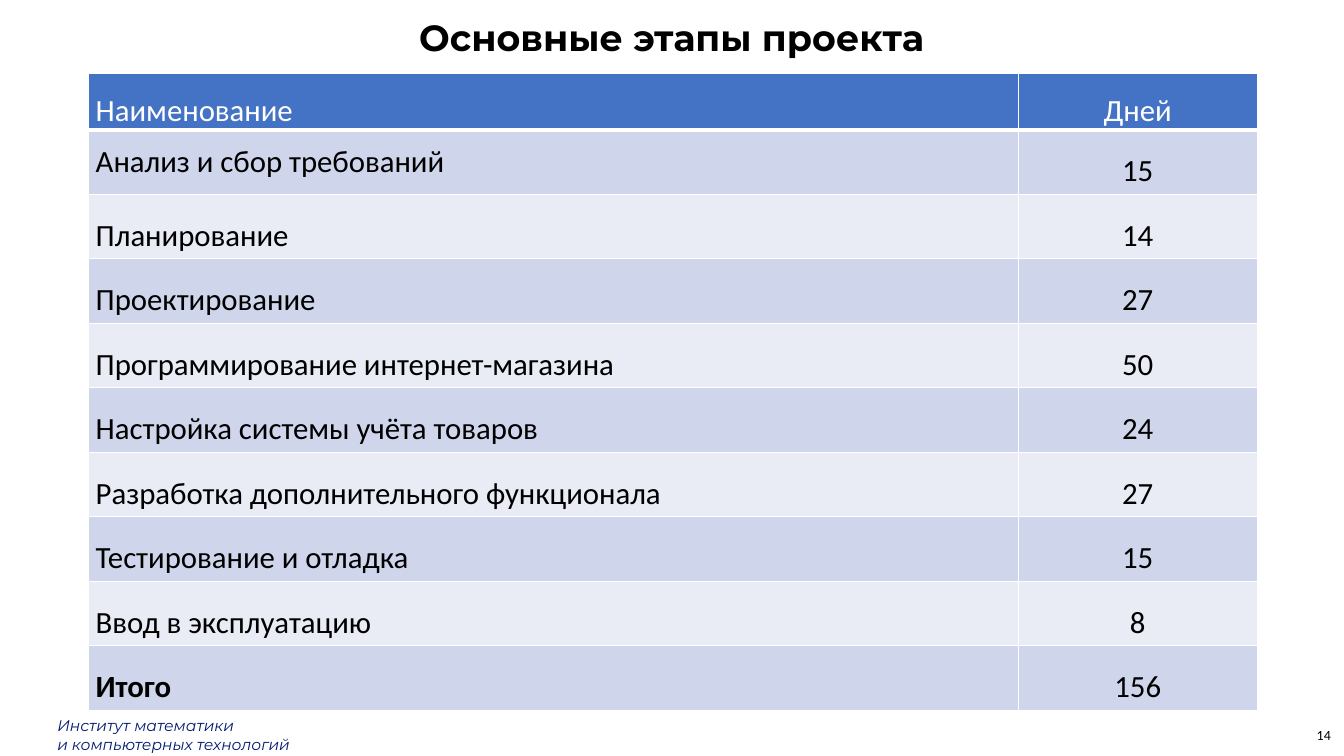
"""Build the slide listing the main project stages and their duration in days."""
import copy

import pptx
import pptx.dml.color
import pptx.enum.text
import pptx.oxml
import pptx.oxml.ns
import pptx.util

Inches = pptx.util.Inches
Pt = pptx.util.Pt
RGBColor = pptx.dml.color.RGBColor
PP_ALIGN = pptx.enum.text.PP_ALIGN
MSO_ANCHOR = pptx.enum.text.MSO_ANCHOR

BLACK = RGBColor(0x00, 0x00, 0x00)
WHITE = RGBColor(0xFF, 0xFF, 0xFF)
NAVY = RGBColor(0x00, 0x1A, 0x72)
HEADER = RGBColor(0x44, 0x72, 0xC4)
BANDS = (RGBColor(0xE9, 0xEB, 0xF5), RGBColor(0xCF, 0xD5, 0xEA))

STAGES = [
    ("Наименование", "Дней"),
    ("Анализ и сбор требований", "15"),
    ("Планирование", "14"),
    ("Проектирование", "27"),
    ("Программирование интернет-магазина", "50"),
    ("Настройка системы учёта товаров", "24"),
    ("Разработка дополнительного функционала", "27"),
    ("Тестирование и отладка", "15"),
    ("Ввод в эксплуатацию", "8"),
    ("Итого", "156"),
]


class StageSlide:
    def __init__(self, prs):
        self.s = prs.slides.add_slide(prs.slide_layouts[5])
        self.body = "Calibri"
        self.accent = "Montserrat"

    def set_format(self, obj, values):
        for name, value in values.items():
            setattr(obj, name, value)

    def fill_text(self, tf, text, color, font, para):
        p = tf.paragraphs[0]
        p.text = text
        self.set_format(p, para)
        for r in p.runs:
            self.set_format(r.font, font)
            r.font.color.rgb = color
        for br in p._p.findall(pptx.oxml.ns.qn("a:br")):
            br.append(copy.deepcopy(p.runs[0].font._element))

    def place(self, sp, box, text, color, font, inset, anchor, para):
        sp.left, sp.top, sp.width, sp.height = (Inches(v) for v in box)
        tf = sp.text_frame
        x, y = (Inches(v) for v in inset)
        self.set_format(tf, {
            "word_wrap": True, "vertical_anchor": anchor,
            "auto_size": pptx.enum.text.MSO_AUTO_SIZE.NONE,
            "margin_left": x, "margin_right": x, "margin_top": y, "margin_bottom": y})
        self.fill_text(tf, text, color, font, para)

    def title(self, text, box):
        font = {"name": self.accent, "size": Pt(26), "bold": True}
        self.place(self.s.shapes.title, box, text, BLACK, font, (0.1, 0.1),
                   MSO_ANCHOR.TOP, {"alignment": PP_ALIGN.CENTER})

    def text(self, text, box, color, font, inset=(0.1, 0.05), anchor=MSO_ANCHOR.TOP):
        sp = self.s.shapes.add_textbox(0, 0, 0, 0)
        self.place(sp, box, text, color, font, inset, anchor, {})

    def borders(self, cell, row):
        widths = {"L": 1, "R": 1, "T": 3 if row == 1 else 1, "B": 3 if row == 0 else 1}
        tcPr = cell._tc.get_or_add_tcPr()
        for side, width in widths.items():
            tcPr.append(pptx.oxml.parse_xml(
                f'<a:ln{side} {pptx.oxml.ns.nsdecls("a")} w="{Pt(width)}"><a:solidFill>'
                f'<a:srgbClr val="{WHITE}"/></a:solidFill></a:ln{side}>'))

    def cell(self, cell, text, row, col):
        self.borders(cell, row)
        cell.fill.solid()
        cell.fill.fore_color.rgb = HEADER if row == 0 else BANDS[row % 2]
        self.set_format(cell, {
            "margin_left": Inches(0.07), "margin_right": Inches(0.07),
            "margin_top": 0, "margin_bottom": 0, "vertical_anchor": MSO_ANCHOR.MIDDLE})
        para = {"alignment": PP_ALIGN.CENTER if col else PP_ALIGN.LEFT, "line_spacing": 1.5}
        if (row, col) == (1, 0):
            para.update(line_spacing=1.0, space_after=Pt(6))
        font = {"name": self.body, "size": Pt(22), "bold": text == "Итого"}
        self.fill_text(cell.text_frame, text, BLACK if row else WHITE, font, para)

    def table(self, rows, box, widths, heights):
        tbl = self.s.shapes.add_table(
            len(rows), len(widths), *(Inches(v) for v in box)).table
        for column, width in zip(tbl.columns, widths):
            column.width = Inches(width)
        for i, values in enumerate(rows):
            tbl.rows[i].height = Inches(heights[min(i, 1)])
            for j, value in enumerate(values):
                self.cell(tbl.cell(i, j), value, i, j)


def main():
    prs = pptx.Presentation()
    prs.slide_width, prs.slide_height = Inches(13.33), Inches(7.5)
    s = StageSlide(prs)
    s.title("Основные этапы проекта", (0, 0.05, 13.33, 0.64))
    s.text("14", (12.98, 7.09, 0.34, 0.41), BLACK, {"name": s.body, "size": Pt(10)},
           (0.08, 0.04), MSO_ANCHOR.MIDDLE)
    s.text("Институт математики \vи компьютерных технологий", (0.47, 7.06, 6.67, 0.47),
           NAVY, {"name": s.accent, "size": Pt(11), "italic": True})
    s.table(STAGES, (0.88, 0.73, 11.58, 6.28), (9.22, 2.37), (0.51, 0.64))
    prs.save("out.pptx")


if __name__ == "__main__":
    main()
